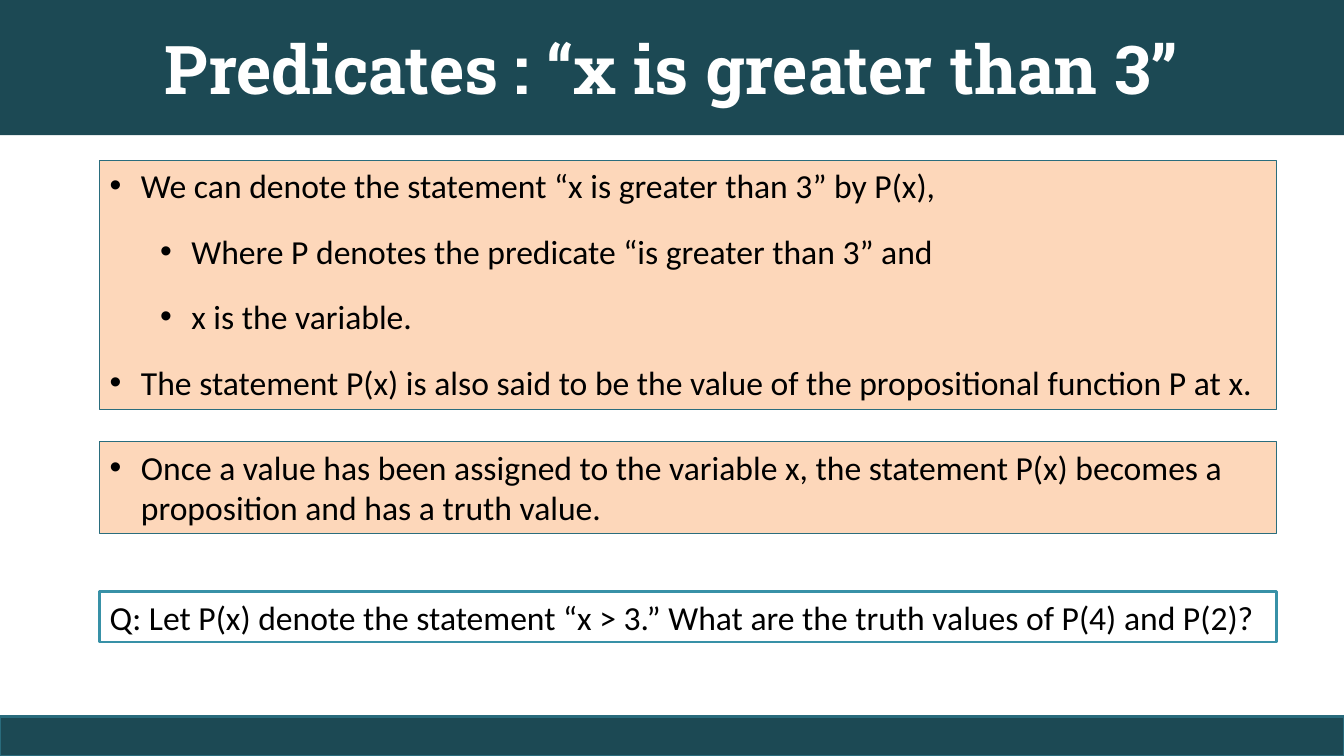
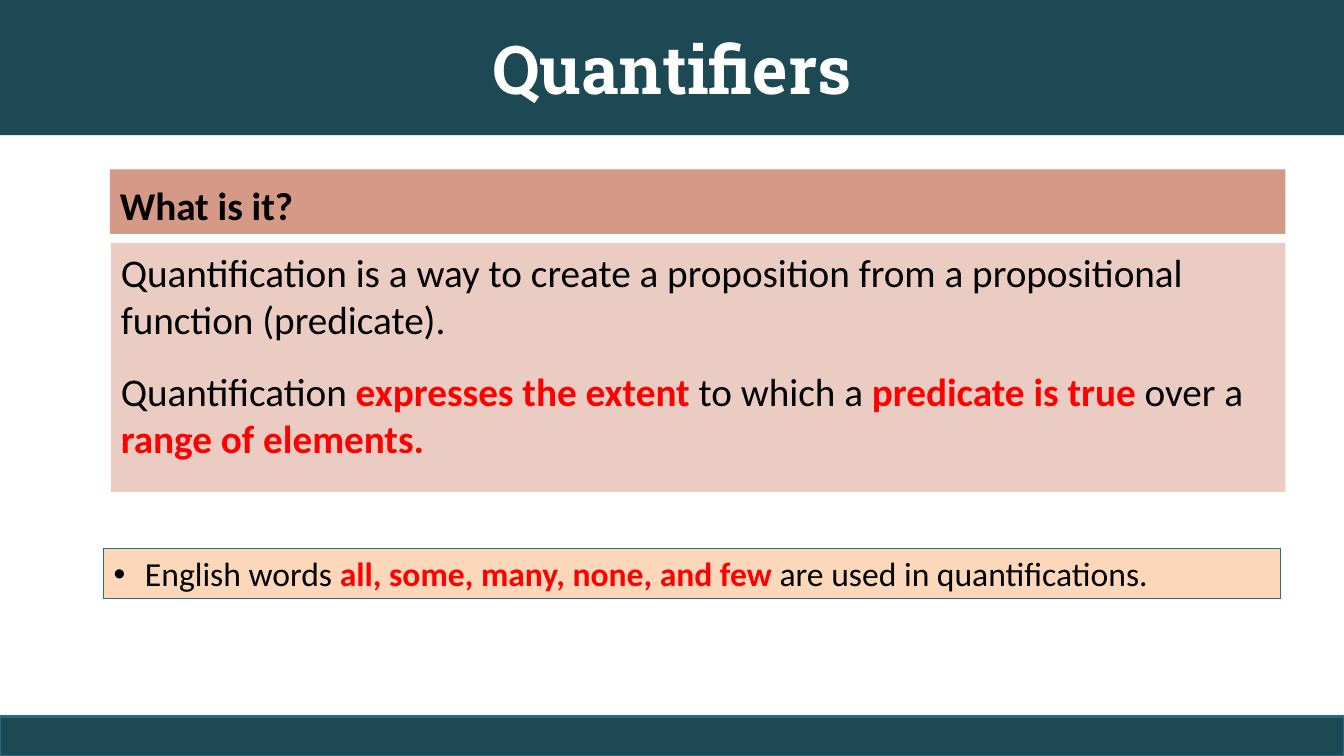
from dataclasses import dataclass

from lxml.etree import SubElement
from pptx import Presentation
from pptx.dml.color import RGBColor
from pptx.enum.shapes import MSO_SHAPE
from pptx.enum.text import MSO_ANCHOR, PP_ALIGN
from pptx.oxml.ns import qn
from pptx.util import Inches, Pt


@dataclass(frozen=True)
class Theme:
    band: str = "1C4954"
    band_edge: str = "296B7C"
    peach: str = "FDD7BA"
    peach_edge: str = "2A6D7D"
    question_edge: str = "3891A7"
    heading: str = "D59988"
    definition: str = "EACCC3"
    white: str = "FFFFFF"
    ink: str = "000000"
    emphasis: str = "FF0000"
    title_font: str = "Roboto Slab"
    body_font: str = "Calibri"
    title_size: int = 48
    large_size: int = 28
    body_size: int = 24


class Deck:
    WIDTH, HEIGHT = 13.33, 7.5
    TITLE_HEIGHT, FOOTER_HEIGHT = 1.34, 0.39
    PANEL_WIDTH = 11.67
    HANG, NEST = 0.31, 0.5

    def __init__(self, theme):
        self.theme = theme
        self.deck = Presentation()
        self.deck.slide_width = Inches(self.WIDTH)
        self.deck.slide_height = Inches(self.HEIGHT)
        self.slide = None

    def add_slide(self, title):
        theme = self.theme
        self.slide = self.deck.slides.add_slide(self.deck.slide_layouts[6])
        header = self.box(0, 0, self.WIDTH, self.TITLE_HEIGHT, theme.band)
        header.text_frame.vertical_anchor = MSO_ANCHOR.MIDDLE
        heading = header.text_frame.paragraphs[0]
        heading.alignment = PP_ALIGN.CENTER
        self.set_text(heading, title, theme.title_size, theme.white, theme.title_font, True)
        self.box(0, self.HEIGHT - self.FOOTER_HEIGHT, self.WIDTH, self.FOOTER_HEIGHT,
                 theme.band, theme.band_edge, 2)

    def box(self, left, top, width, height, fill, edge=None, edge_width=0.75):
        box = self.slide.shapes.add_shape(
            MSO_SHAPE.RECTANGLE, Inches(left), Inches(top), Inches(width), Inches(height))
        box.shadow.inherit = False
        box.fill.solid()
        box.fill.fore_color.rgb = RGBColor.from_string(fill)
        if edge:
            box.line.color.rgb = RGBColor.from_string(edge)
            box.line.width = Pt(edge_width)
        else:
            box.line.fill.background()
        box.text_frame.word_wrap = True
        box.text_frame.vertical_anchor = MSO_ANCHOR.TOP
        return box

    def set_text(self, paragraph, text, size, color, face, bold=False):
        paragraph.font.name = face
        paragraph.font.size = Pt(size)
        paragraph.font.bold = bold
        paragraph.font.color.rgb = RGBColor.from_string(color)
        for position, part in enumerate(text.split("*")):
            if part:
                run = paragraph.add_run()
                run.text = part
                if position % 2:
                    run.font.bold = True
                    run.font.color.rgb = RGBColor.from_string(self.theme.emphasis)

    def bullet(self, paragraph, level):
        paragraph.level = level
        properties = paragraph._p.get_or_add_pPr()
        properties.set("marL", str(Inches(self.HANG + level * self.NEST)))
        properties.set("indent", str(-Inches(self.HANG)))
        SubElement(properties, qn("a:buFont"), typeface="Arial")
        SubElement(properties, qn("a:buChar"), char="•")

    def body(self, box, entries, size, bulleted=False, bold=False, line_spacing=None):
        frame = box.text_frame
        for position, (level, text) in enumerate(entries):
            paragraph = frame.add_paragraph() if position else frame.paragraphs[0]
            paragraph.alignment = PP_ALIGN.LEFT
            paragraph.space_before = Pt(12 if position else 0)
            paragraph.space_after = Pt(6)
            if line_spacing:
                paragraph.line_spacing = line_spacing
            if bulleted:
                self.bullet(paragraph, level)
            self.set_text(paragraph, text, size, self.theme.ink, self.theme.body_font, bold)

    def bullet_panel(self, left, top, height, entries):
        panel = self.box(left, top, self.PANEL_WIDTH, height,
                         self.theme.peach, self.theme.peach_edge)
        self.body(panel, entries, self.theme.body_size, bulleted=True)

    def question(self, left, top, height, text):
        panel = self.box(left, top, self.PANEL_WIDTH, height,
                         self.theme.white, self.theme.question_edge, 2)
        self.body(panel, [(0, text)], self.theme.body_size)

    def definition(self, heading, statements):
        theme = self.theme
        heading_box = self.box(1.09, 1.68, 11.66, 0.64, theme.heading)
        self.body(heading_box, [(0, heading)], theme.large_size, bold=True, line_spacing=1.14)
        statement_box = self.box(1.1, 2.41, 11.65, 2.47, theme.definition)
        self.body(statement_box, [(0, text) for text in statements], theme.large_size)


def main():
    lecture = Deck(Theme())

    lecture.add_slide("Predicates : “x is greater than 3”")
    lecture.bullet_panel(0.99, 1.59, 2.47, [
        (0, "We can denote the statement “x is greater than 3” by P(x),"),
        (1, "Where P denotes the predicate “is greater than 3” and"),
        (1, "x is the variable."),
        (0, "The statement P(x) is also said to be the value of the "
            "propositional function P at x."),
    ])
    lecture.bullet_panel(0.99, 4.38, 0.91, [
        (0, "Once a value has been assigned to the variable x, the statement P(x) "
            "becomes a proposition and has a truth value."),
    ])
    lecture.question(0.99, 5.87, 0.5, "Q: Let P(x) denote the statement “x > 3.” "
                                      "What are the truth values of P(4) and P(2)?")

    lecture.add_slide("Quantifiers")
    lecture.definition("What is it?", [
        "Quantification is a way to create a proposition from a propositional "
        "function (predicate).",
        "Quantification *expresses the extent* to which a *predicate is true* over a "
        "*range of elements.*",
    ])
    lecture.bullet_panel(1.03, 5.44, 0.5, [
        (0, "English words *all, some, many, none, and few *are used in quantifications."),
    ])

    lecture.deck.save("out.pptx")


if __name__ == "__main__":
    main()
